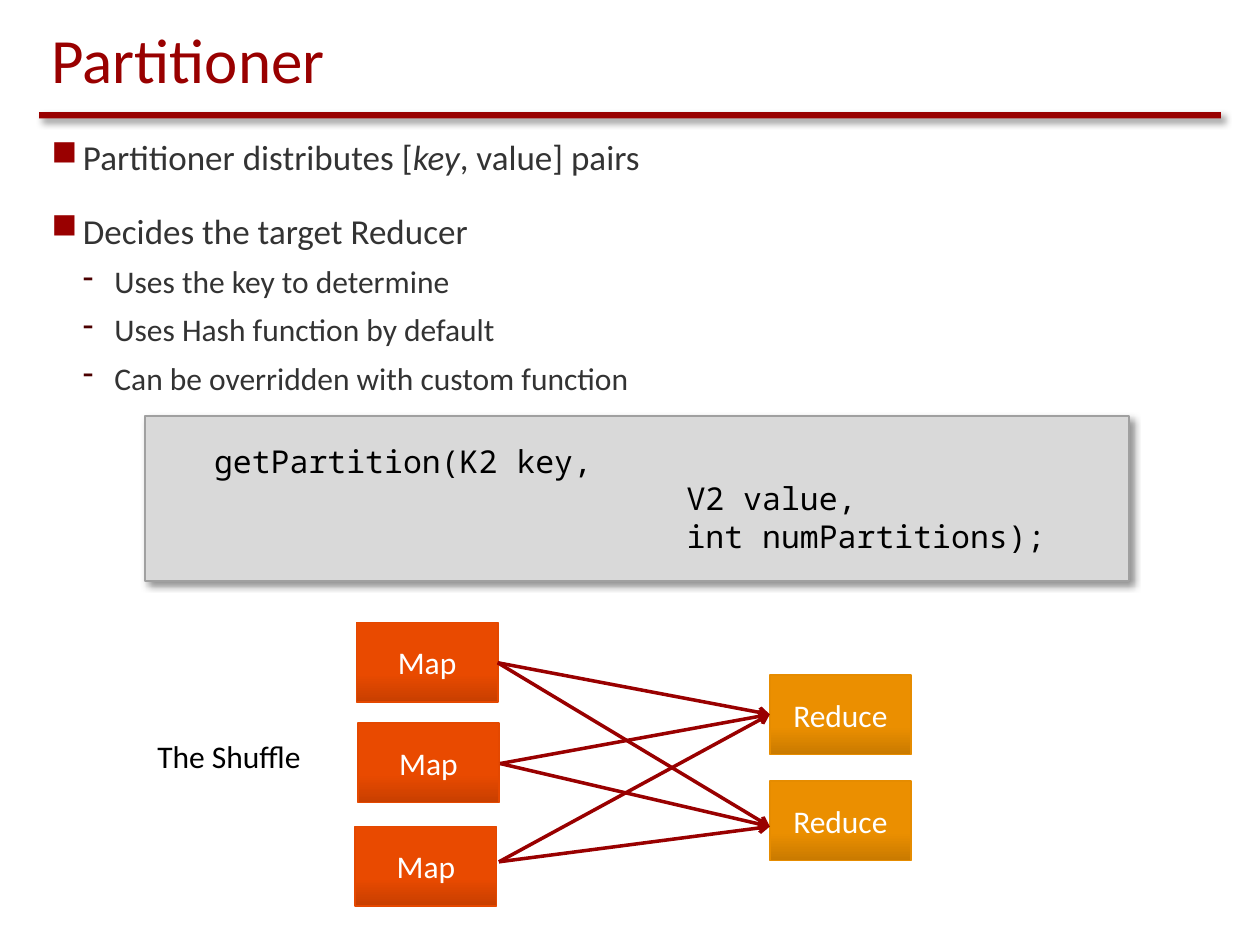
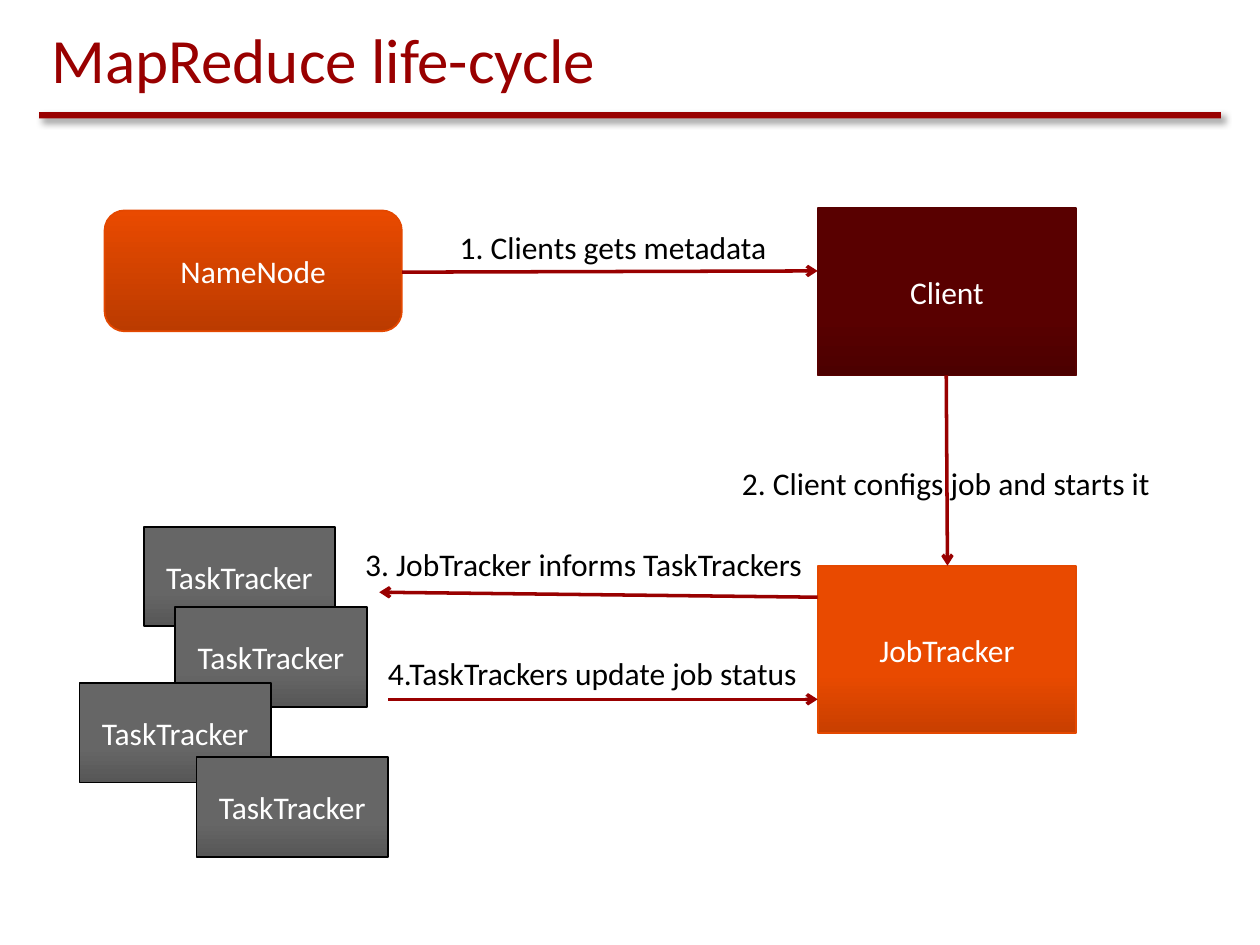
from dataclasses import dataclass
from itertools import product

from lxml import etree
from pptx import Presentation
from pptx import util as u
from pptx.dml.color import RGBColor
from pptx.enum import shapes, text
from pptx.oxml import ns

RECT = shapes.MSO_SHAPE.RECTANGLE
ROUNDED = shapes.MSO_SHAPE.ROUNDED_RECTANGLE
MIDDLE = text.MSO_ANCHOR.MIDDLE


@dataclass(frozen=True)
class Theme:
    font: str = "Calibri"
    mono: str = "Noto Sans Mono"
    title_size: int = 36
    body_size: int = 20
    text_size: int = 18
    red: str = "990000"
    dark_red: str = "4C0000"
    gray: str = "333333"
    black: str = "000000"
    white: str = "FFFFFF"
    code_fill: str = "D9D9D9"
    code_line: str = "A0A0A0"
    # Box palettes: bottom colour, main colour, outline, where the main colour starts
    orange: tuple = ("C83F00", "E94A00", "E44800", 0.35)
    deep_orange: tuple = ("BB3B00", "E94A00", "E44800", 1)
    amber: tuple = ("C97A00", "EB8F00", "E68C00", 0.35)
    maroon: tuple = ("4C0000", "590000", "570000", 0.35)
    slate: tuple = ("575757", "666666", "000000", 0.35)


def rgb(code):
    return RGBColor.from_string(code)


def add_xml(parent, tag, **attrs):
    return etree.SubElement(parent, ns.qn(tag), attrs)


def add_text(p, content, size, color, font, italic=False):
    """Append runs to a paragraph; a vertical tab makes a line break."""
    for i, line in enumerate(content.split("\v")):
        if i:
            p.add_line_break()
        r = p.add_run()
        r.text = line
        r.font.size = u.Pt(size)
        r.font.name = font
        r.font.color.rgb = rgb(color)
        if italic:
            r.font.italic = True


def add_shadow(sp):
    effects = sp._element.spPr.find(ns.qn("a:effectLst"))
    shadow = add_xml(effects, "a:outerShdw", blurRad=str(u.Pt(4)), dist=str(u.Pt(3)),
                     dir="2700000", algn="tl", rotWithShape="0")
    color = add_xml(shadow, "a:srgbClr", val=Theme.black)
    add_xml(color, "a:alpha", val="43000")


def add_bullet(p, level, char, color):
    p.level = level
    pPr = p._p.get_or_add_pPr()
    pPr.set("marL", str(u.Inches(0.25 * (level + 1))))
    pPr.set("indent", str(u.Inches(-0.25)))
    add_xml(add_xml(pPr, "a:buClr"), "a:srgbClr", val=color)
    add_xml(pPr, "a:buChar", char=char)


class Deck:
    def __init__(self, theme):
        self.theme = theme
        self.prs = Presentation()
        self.prs.slide_width = u.Inches(10)
        self.prs.slide_height = u.Inches(7.5)
        self.s = None

    def slide(self, title):
        t = self.theme
        self.s = self.prs.slides.add_slide(self.prs.slide_layouts[6])
        rule = self.shape(RECT, 0.31, 0.89, 9.38, 0.05, t.red)
        rule.line.fill.background()
        add_shadow(rule)
        tf = self.text_box(0.31, 0.14, 9.38, 0.67)
        tf.vertical_anchor = text.MSO_ANCHOR.BOTTOM
        add_text(tf.paragraphs[0], title, t.title_size, t.red, t.font)

    def shape(self, kind, x, y, w, h, fill=None):
        sp = self.s.shapes.add_shape(kind, *map(u.Inches, (x, y, w, h)))
        sp.shadow.inherit = False
        if fill:
            sp.fill.solid()
            sp.fill.fore_color.rgb = rgb(fill)
        return sp

    def text_box(self, x, y, w, h, wrap=True):
        tf = self.s.shapes.add_textbox(*map(u.Inches, (x, y, w, h))).text_frame
        tf.word_wrap = wrap
        return tf

    def box(self, label, x, y, w, h, palette, kind=RECT):
        """A labelled box whose gradient darkens towards the bottom."""
        t = self.theme
        bottom, main, outline, start = palette
        sp = self.shape(kind, x, y, w, h)
        sp.fill.gradient()
        sp.fill.gradient_angle = 90
        for stop, color, position in zip(sp.fill.gradient_stops, (bottom, main), (0, start)):
            stop.color.rgb = rgb(color)
            stop.position = position
        sp.line.color.rgb = rgb(outline)
        sp.line.width = u.Pt(1)
        tf = sp.text_frame
        tf.vertical_anchor = MIDDLE
        p = tf.paragraphs[0]
        p.alignment = text.PP_ALIGN.CENTER
        add_text(p, label, t.text_size, t.white, t.font)

    def label(self, content, x, y, w):
        t = self.theme
        tf = self.text_box(x, y, w, 0.4, wrap=False)
        tf.auto_size = text.MSO_AUTO_SIZE.SHAPE_TO_FIT_TEXT
        add_text(tf.paragraphs[0], content, t.text_size, t.black, t.font)

    def arrow(self, start, end):
        c = self.s.shapes.add_connector(shapes.MSO_CONNECTOR.STRAIGHT,
                                        *map(u.Inches, (*start, *end)))
        c.line.color.rgb = rgb(self.theme.red)
        c.line.width = u.Pt(2)
        add_xml(c.line._get_or_add_ln(), "a:tailEnd", type="arrow")
        add_xml(c._element.spPr, "a:effectLst")

    def bullets(self, items, x, y, w, h):
        """Items are (level, parts); every second part is italic."""
        t = self.theme
        styles = ((t.body_size, 18, "■", t.red), (t.text_size, 6, "-", t.dark_red))
        tf = self.text_box(x, y, w, h)
        for i, (level, parts) in enumerate(items):
            size, gap, char, color = styles[level]
            p = tf.add_paragraph() if i else tf.paragraphs[0]
            if i:
                p.space_before = u.Pt(gap)
            add_bullet(p, level, char, color)
            for n, part in enumerate(parts):
                add_text(p, part, size, t.gray, t.font, italic=n % 2 == 1)

    def code(self, paragraphs, x, y, w, h):
        t = self.theme
        sp = self.shape(RECT, x, y, w, h, t.code_fill)
        sp.line.color.rgb = rgb(t.code_line)
        sp.line.width = u.Pt(1)
        add_shadow(sp)
        tf = sp.text_frame
        tf.vertical_anchor = MIDDLE
        for i, content in enumerate(paragraphs):
            p = tf.add_paragraph() if i else tf.paragraphs[0]
            p.alignment = text.PP_ALIGN.LEFT
            add_text(p, content, t.text_size, t.black, t.mono)


def partitioner(deck):
    t = deck.theme
    deck.slide("Partitioner")
    deck.bullets([
        (0, ["Partitioner distributes [", "key", ", value] pairs"]),
        (0, ["Decides the target Reducer"]),
        (1, ["Uses the key to determine"]),
        (1, ["Uses Hash function by default"]),
        (1, ["Can be overridden with custom function"]),
    ], 0.31, 1.03, 9.38, 5.91)
    deck.code([
        "   getPartition(K2 key,\v                            V2 value,",
        "                            int numPartitions);",
    ], 1.15, 3.3, 7.81, 1.31)
    for x, y in ((2.83, 4.94), (2.84, 5.74), (2.82, 6.56)):
        deck.box("Map", x, y, 1.12, 0.63, t.orange)
    for y in (5.36, 6.2):
        deck.box("Reduce", 6.11, y, 1.12, 0.63, t.amber)
    map_exits = ((3.95, 5.26), (3.97, 6.06), (3.96, 6.84))
    reduce_entries = ((6.11, 5.67), (6.11, 6.56))
    for start, end in product(map_exits, reduce_entries):
        deck.arrow(start, end)
    deck.label("The Shuffle", 1.15, 5.8, 1.34)


def life_cycle(deck):
    t = deck.theme
    deck.slide("MapReduce life-cycle")
    deck.box("NameNode", 0.83, 1.67, 2.36, 0.96, t.deep_orange, ROUNDED)
    deck.box("Client", 6.49, 1.65, 2.05, 1.33, t.maroon)
    deck.box("JobTracker", 6.49, 4.49, 2.05, 1.33, t.orange)
    for x, y in ((1.14, 4.18), (1.39, 4.82), (0.63, 5.42), (1.56, 6.01)):
        deck.box("TaskTracker", x, y, 1.52, 0.79, t.slate)
    for start, end in (
        ((3.19, 2.16), (6.49, 2.15)),
        ((7.51, 2.98), (7.52, 4.49)),
        ((6.49, 4.74), (3.01, 4.7)),
        ((3.08, 5.55), (6.49, 5.55)),
    ):
        deck.arrow(start, end)
    for step in (
        ("1. Clients gets metadata", 3.55, 1.76, 2.64),
        ("2. Client configs job and starts it", 5.79, 3.63, 3.6),
        ("3. JobTracker informs TaskTrackers", 2.8, 4.28, 3.72),
        ("4.TaskTrackers update job status", 2.98, 5.14, 3.52),
    ):
        deck.label(*step)


def main():
    deck = Deck(Theme())
    partitioner(deck)
    life_cycle(deck)
    deck.prs.save("out.pptx")


if __name__ == "__main__":
    main()
